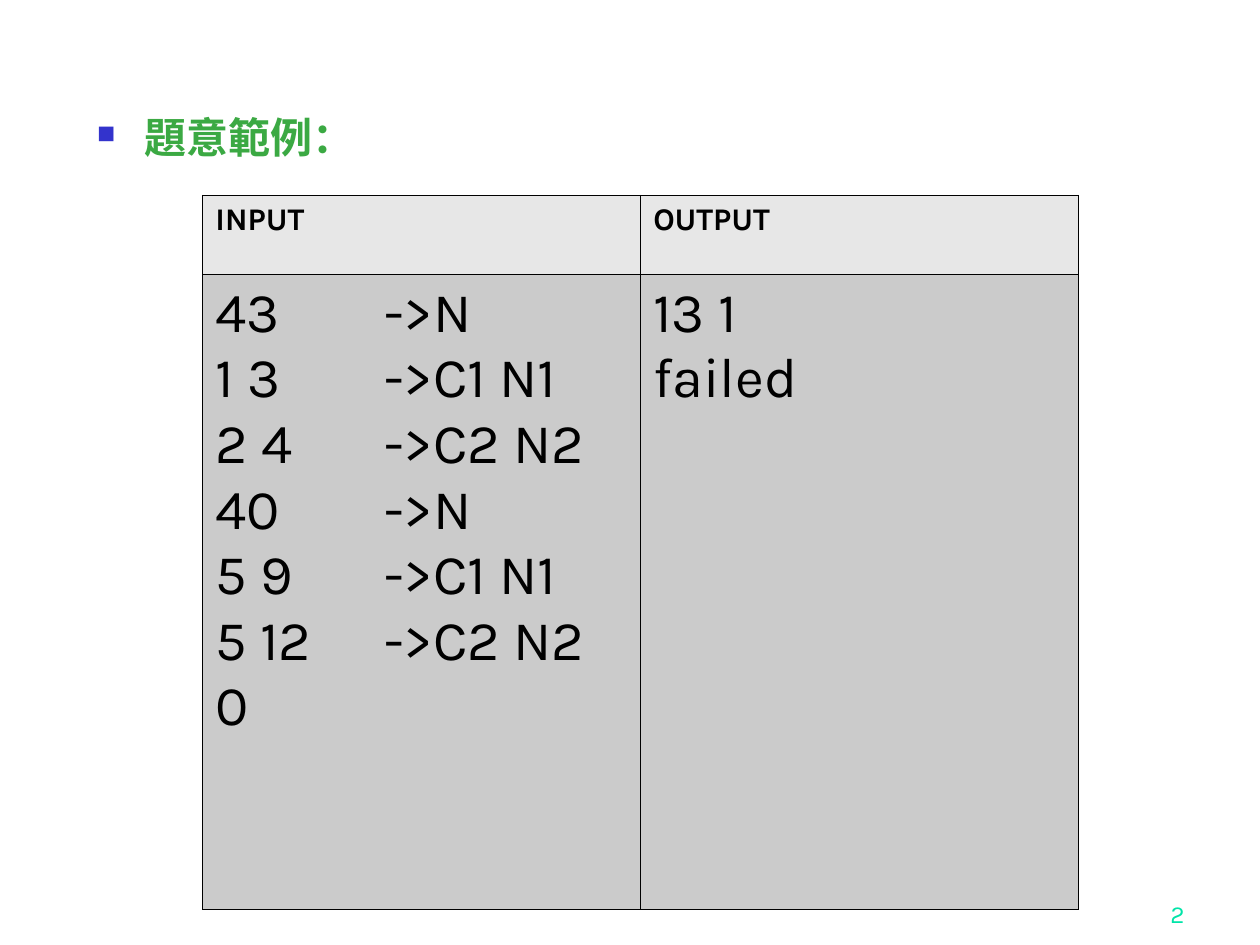
from lxml.etree import SubElement
from pptx import Presentation
from pptx.dml.color import RGBColor
from pptx.enum.text import MSO_ANCHOR, PP_ALIGN
from pptx.oxml.ns import qn
from pptx.util import Inches, Pt

GREEN = RGBColor(0x3B, 0xA9, 0x43)
BLUE = RGBColor(0x33, 0x33, 0xCC)
MINT = RGBColor(0x00, 0xE4, 0xA8)
BLACK = RGBColor(0, 0, 0)
HEADER_GRAY = RGBColor(0xE7, 0xE7, 0xE7)
BODY_GRAY = RGBColor(0xCB, 0xCB, 0xCB)

HEADING = dict(name="Times New Roman", size=Pt(24), bold=True)
PAGE_NUMBER = dict(name="Karla", size=Pt(14), bold=False)
TABLE_HEADER = dict(name="Karla", size=Pt(18), bold=True)
TABLE_BODY = dict(name="Karla", size=Pt(32), bold=False)

NOTE_TAB = Inches(1.34)
COLUMNS = [
    ("INPUT", ["43\t->N", "1 3\t->C1 N1", "2 4\t->C2 N2", "40\t->N",
               "5 9\t->C1 N1", "5 12\t->C2 N2", "0"]),
    ("OUTPUT", ["13 1", "failed"]),
]


def add_run(p, text, font, color):
    r = p.add_run()
    r.text = text
    for key, value in font.items():
        setattr(r.font, key, value)
    r.font.color.rgb = color


def add_solid_fill(parent, color):
    fill = SubElement(parent, qn("a:solidFill"))
    SubElement(fill, qn("a:srgbClr"), val=str(color))


def add_text(s, box, text, font, color):
    tf = s.shapes.add_textbox(*map(Inches, box)).text_frame
    tf.word_wrap = True
    add_run(tf.paragraphs[0], text, font, color)
    return tf


def add_square_bullet(p):
    p.line_spacing = 0.9
    pPr = p._p.get_or_add_pPr()
    indent = Inches(0.38)
    pPr.set("marL", str(indent))
    pPr.set("indent", str(-indent))
    color = SubElement(pPr, qn("a:buClr"))
    SubElement(color, qn("a:srgbClr"), val=str(BLUE))
    SubElement(pPr, qn("a:buSzPct"), val="60000")
    SubElement(pPr, qn("a:buChar"), char="■")


def add_tab_stop(p, position):
    tabs = SubElement(p._p.get_or_add_pPr(), qn("a:tabLst"))
    SubElement(tabs, qn("a:tab"), pos=str(position), algn="l")


def add_borders(cell):
    tcPr = cell._tc.get_or_add_tcPr()
    for side in ("lnL", "lnR", "lnT", "lnB"):
        line = SubElement(tcPr, qn(f"a:{side}"), w=str(Pt(0.45)))
        add_solid_fill(line, BLACK)


def fill_cell(cell, lines, font, color):
    add_borders(cell)
    cell.fill.solid()
    cell.fill.fore_color.rgb = color
    tf = cell.text_frame
    for i, line in enumerate(lines):
        p = tf.add_paragraph() if i else tf.paragraphs[0]
        if "\t" in line:
            add_tab_stop(p, NOTE_TAB)
        add_run(p, line, font, BLACK)


def add_example_table(s):
    box = map(Inches, (1.61, 1.55, 6.95, 5.67))
    table = s.shapes.add_table(2, len(COLUMNS), *box).table
    for row, height in zip(table.rows, (0.63, 5.04)):
        row.height = Inches(height)
    for i, (title, lines) in enumerate(COLUMNS):
        fill_cell(table.cell(0, i), [title], TABLE_HEADER, HEADER_GRAY)
        fill_cell(table.cell(1, i), lines, TABLE_BODY, BODY_GRAY)


def main():
    prs = Presentation()
    prs.slide_width, prs.slide_height = Inches(10), Inches(7.5)
    s = prs.slides.add_slide(prs.slide_layouts[6])

    tf = add_text(s, (7.42, 6.92, 2.08, 0.5), "2", PAGE_NUMBER, MINT)
    tf.vertical_anchor = MSO_ANCHOR.BOTTOM
    tf.paragraphs[0].alignment = PP_ALIGN.RIGHT

    tf = add_text(s, (0.67, 0.88, 8.83, 6.15), "題意範例：", HEADING, GREEN)
    add_square_bullet(tf.paragraphs[0])

    add_example_table(s)
    prs.save("out.pptx")


if __name__ == "__main__":
    main()
